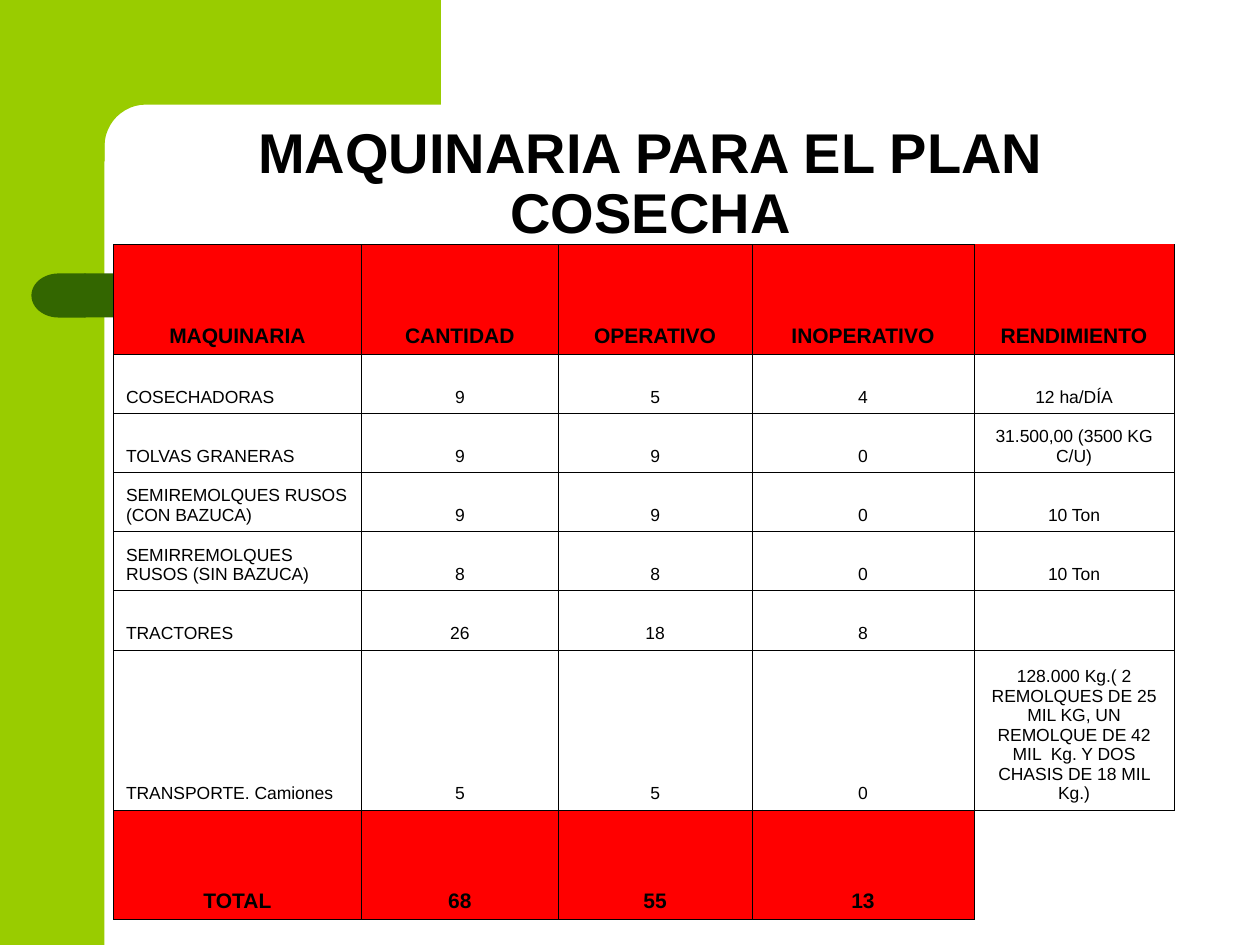
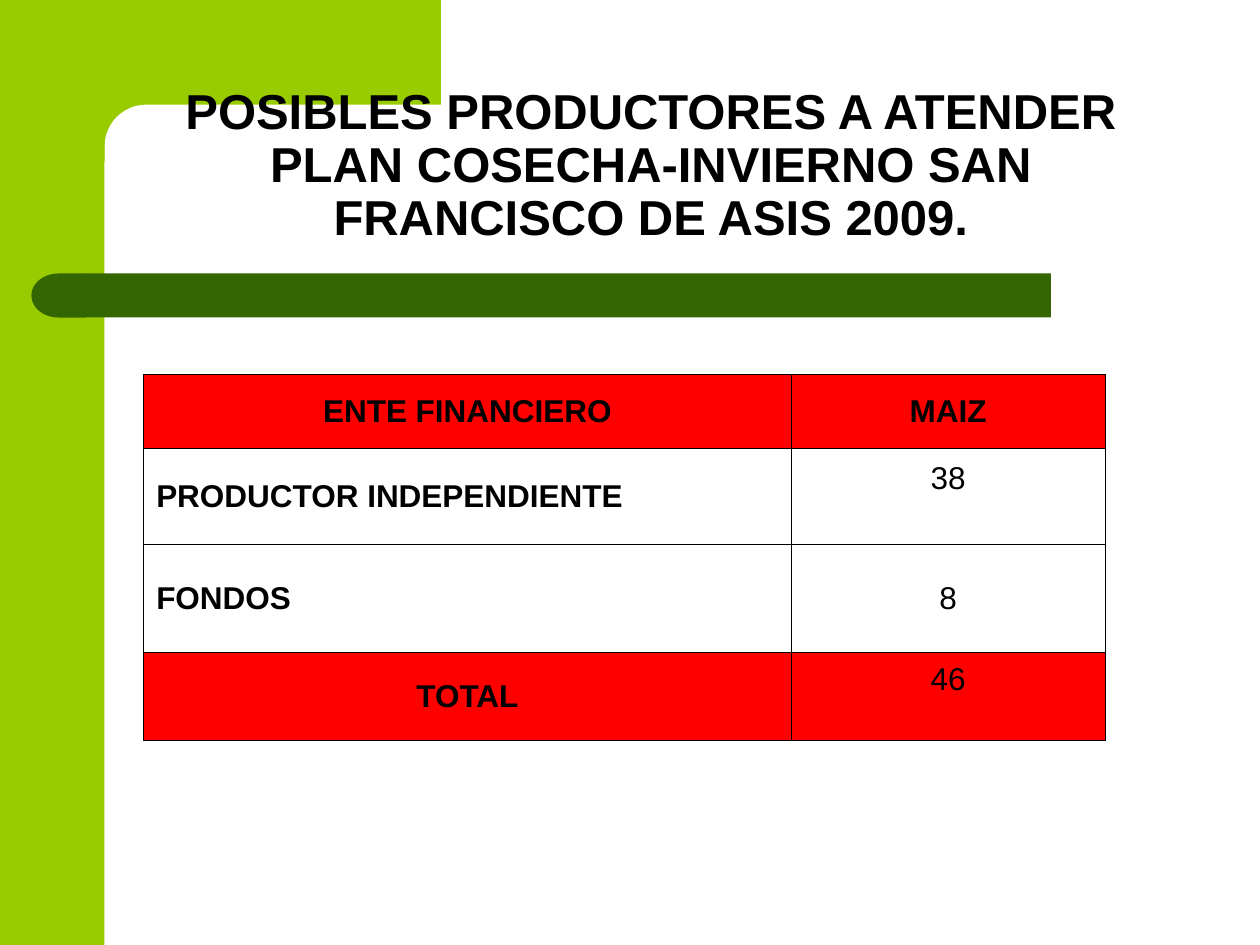
from math import cos, pi, sin

from lxml import etree
from pptx import Presentation
from pptx.dml.color import RGBColor
from pptx.enum.shapes import MSO_SHAPE as SHAPE
from pptx.enum.text import MSO_ANCHOR as ANCHOR, MSO_AUTO_SIZE as AUTOSIZE, PP_ALIGN as ALIGN
from pptx.oxml.ns import qn
from pptx.util import Inches, Pt

COLORS = {"lime": "99CC00", "forest": "336600", "red": "FF0000", "black": "000000"}
BLACK = RGBColor.from_string(COLORS["black"])
TITLE_FORMAT = {"name": "Arial", "bold": True}
BORDER_WIDTH = Pt(0.45)

machinery = {
    "title": "MAQUINARIA PARA EL PLAN COSECHA", "title_size": 32,
    "at": (0.9, 1.94),
    "widths": [1.97, 1.56, 1.54, 1.76, 1.59],
    "heights": [0.87] + [0.47] * 5 + [1.27, 0.87],
    "anchor": ANCHOR.BOTTOM, "band_size": 12, "body_size": 10,
    "bold_labels": False,
    "raised": [],
    "open_edges": {(0, 4): "T", (7, 4): "RB"},
    "rows": [
        ["MAQUINARIA", "CANTIDAD", "OPERATIVO", "INOPERATIVO", "RENDIMIENTO"],
        ["COSECHADORAS", "9", "5", "4", "12 ha/DÍA"],
        ["TOLVAS GRANERAS", "9", "9", "0", "31.500,00 (3500 KG C/U)"],
        ["SEMIREMOLQUES RUSOS (CON BAZUCA)", "9", "9", "0", "10 Ton"],
        ["SEMIRREMOLQUES RUSOS (SIN BAZUCA)", "8", "8", "0", "10 Ton"],
        ["TRACTORES", "26", "18", "8", ""],
        ["TRANSPORTE. Camiones", "5", "5", "0",
         "128.000 Kg.( 2 REMOLQUES DE 25 MIL KG, UN REMOLQUE DE 42 MIL  Kg. "
         "Y DOS CHASIS DE 18 MIL Kg.)"],
        ["TOTAL", "68", "55", "13", ""],
    ],
}
producers = {
    "title": "POSIBLES PRODUCTORES A ATENDER PLAN COSECHA-INVIERNO "
             "SAN FRANCISCO DE ASIS 2009.",
    "title_size": 28,
    "at": (1.14, 2.97),
    "widths": [5.14, 2.49],
    "heights": [0.59, 0.76, 0.86, 0.7],
    "anchor": ANCHOR.MIDDLE, "band_size": 18, "body_size": 18,
    "bold_labels": True,
    "raised": [(1, 1), (3, 1)],
    "open_edges": {},
    "rows": [
        ["ENTE FINANCIERO", "MAIZ"],
        ["PRODUCTOR INDEPENDIENTE", "38"],
        ["FONDOS", "8"],
        ["TOTAL", "46"],
    ],
}


def apply_format(target, values):
    for name, value in values.items():
        setattr(target, name, value)


def draw_borders(cell, open_edges):
    """Line every side of the cell except the open edges (letters of L, R, T, B)."""
    properties = cell._tc.get_or_add_tcPr()
    for position, edge in enumerate("LRTB"):
        line = etree.Element(qn(f"a:ln{edge}"), w=str(int(BORDER_WIDTH)))
        if edge in open_edges:
            etree.SubElement(line, qn("a:noFill"))
        else:
            ink = etree.SubElement(line, qn("a:solidFill"))
            etree.SubElement(ink, qn("a:srgbClr"), val=COLORS["black"])
        properties.insert(position, line)


prs = Presentation()
prs.slide_width, prs.slide_height = Inches(10), Inches(7.5)
layout = prs.slide_layouts[5]
apply_format(layout.placeholders[0], {
    "left": Inches(0.91), "top": Inches(0.91),
    "width": Inches(8.51), "height": Inches(1.09)})
slides = [prs.slides.add_slide(layout) for _ in range(2)]

# Shared bands: drawn once, then moved to the layout
shapes = slides[0].shapes
side_band = shapes.add_shape(SHAPE.RECTANGLE, 0, 0, Inches(0.83), Inches(7.5))

radius, center = 0.33, 1.16
curve = [(center - radius * sin(step * pi / 24), center - radius * cos(step * pi / 24))
         for step in range(13)]
outline = [(3.5, 0.83), *curve, (0.83, 1.28), (0.5, 1.28), (0.5, 0)]
corner = shapes.build_freeform(Inches(3.5), 0)
corner.add_line_segments([(Inches(x), Inches(y)) for x, y in outline], close=True)
top_band = corner.convert_to_shape()

title_bar = shapes.add_shape(
    SHAPE.RECTANGLE, Inches(0.67), Inches(2.17), Inches(7.67), Inches(0.35))
bar_cap = shapes.add_shape(
    SHAPE.FLOWCHART_DELAY, Inches(0.25), Inches(2.17), Inches(0.43), Inches(0.35))
bar_cap.element.spPr.find(qn("a:xfrm")).set("flipH", "1")

bands = [(side_band, "lime"), (top_band, "lime"), (title_bar, "forest"), (bar_cap, "forest")]
for order, (band, color) in enumerate(bands):
    band.shadow.inherit = False
    band.fill.solid()
    band.fill.fore_color.rgb = RGBColor.from_string(COLORS[color])
    band.line.fill.background()
    layout.shapes.element.insert(2 + order, band.element)

for slide, content in zip(slides, (machinery, producers)):
    frame = slide.shapes.title.text_frame
    frame.text = content["title"]
    apply_format(frame, {"auto_size": AUTOSIZE.NONE, "vertical_anchor": ANCHOR.BOTTOM,
                         "word_wrap": True})
    heading = frame.paragraphs[0]
    apply_format(heading, {"alignment": ALIGN.CENTER, "line_spacing": 0.9})
    apply_format(heading.runs[0].font, {**TITLE_FORMAT, "size": Pt(content["title_size"])})
    heading.runs[0].font.color.rgb = BLACK

    rows, widths, heights = content["rows"], content["widths"], content["heights"]
    left, top = content["at"]
    table = slide.shapes.add_table(
        len(rows), len(widths), Inches(left), Inches(top),
        Inches(sum(widths)), Inches(sum(heights))).table
    apply_format(table, {"first_row": False, "horz_banding": False})
    for column, width in zip(table.columns, widths):
        column.width = Inches(width)
    for row, height in zip(table.rows, heights):
        row.height = Inches(height)

    for r, texts in enumerate(rows):
        for c, text in enumerate(texts):
            cell = table.cell(r, c)
            in_band = r in (0, len(rows) - 1) and text != ""
            is_label = c == 0 and not in_band
            bold = in_band
            if content["bold_labels"]:
                bold = r == 0 or c == 0

            cell.vertical_anchor = content["anchor"]
            if (r, c) in content["raised"]:
                cell.margin_bottom = Inches(0.33)
            draw_borders(cell, content["open_edges"].get((r, c), ""))
            if in_band:
                cell.fill.solid()
                cell.fill.fore_color.rgb = RGBColor.from_string(COLORS["red"])
            else:
                cell.fill.background()

            cell.text = text
            entry = cell.text_frame.paragraphs[0]
            entry.alignment = ALIGN.LEFT if is_label else ALIGN.CENTER
            size = content["band_size"] if in_band else content["body_size"]
            apply_format(entry.font, {"name": "Arial", "size": Pt(size), "bold": bold})
            entry.font.color.rgb = BLACK
            for run in entry.runs:
                apply_format(run.font, {"name": "Arial", "size": Pt(size), "bold": bold})
                run.font.color.rgb = BLACK

prs.save("out.pptx")
